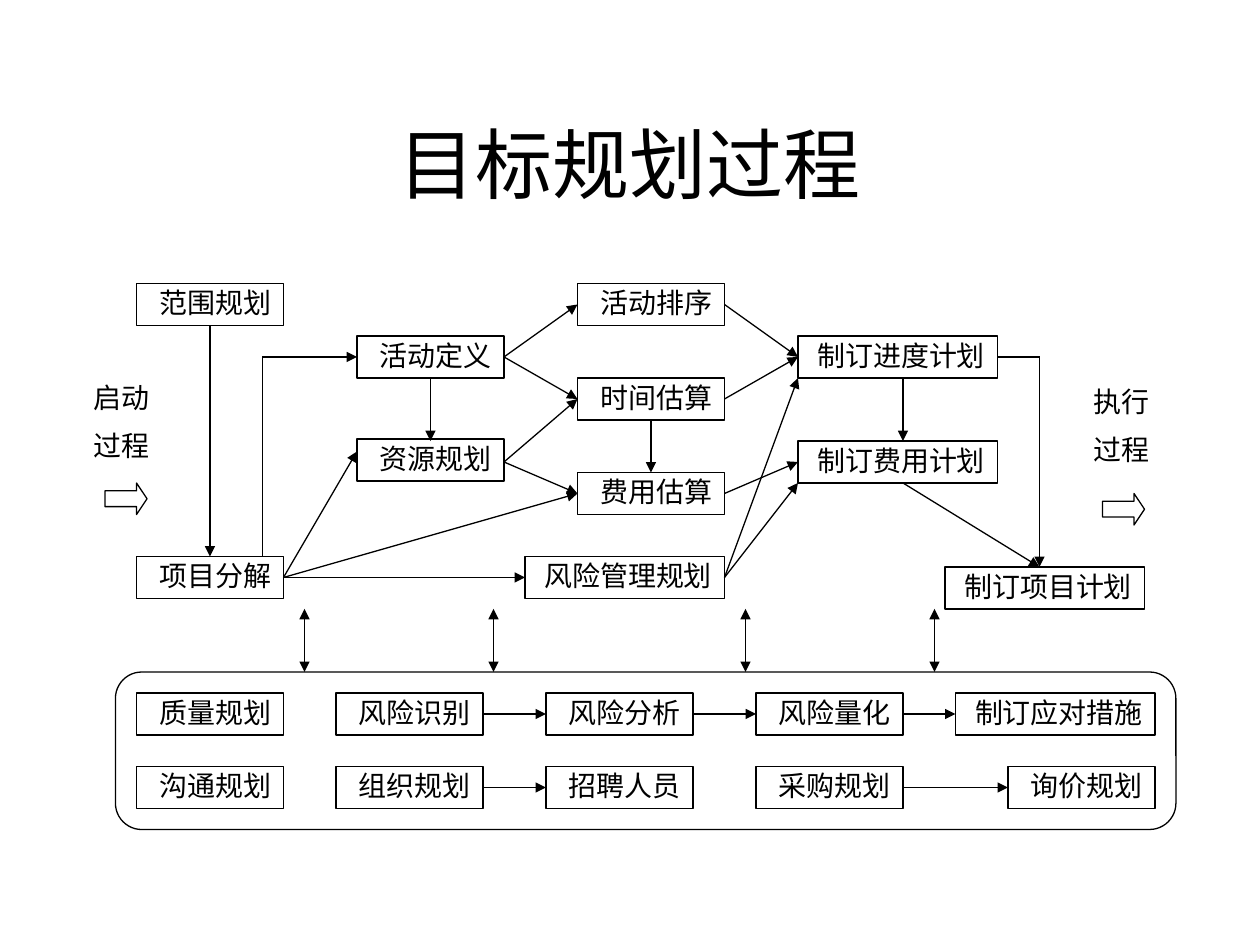
from lxml import etree
from pptx import Presentation
from pptx.dml.color import RGBColor
from pptx.enum.shapes import MSO_CONNECTOR, MSO_SHAPE
from pptx.enum.text import MSO_ANCHOR, PP_ALIGN
from pptx.oxml.ns import qn
from pptx.util import Emu, Pt

PX = 7620  # EMU per px, 120 px to the inch
BLACK = RGBColor(0, 0, 0)
FONT = "Times New Roman"
BOX_H = 40
SHORT, LONG = 140, 190

# text, left, top, width
BOXES = [
    ("范围规划", 130, 270, SHORT),
    ("项目分解", 130, 530, SHORT),
    ("活动定义", 340, 320, SHORT),
    ("资源规划", 340, 418, SHORT),
    ("活动排序", 550, 270, SHORT),
    ("时间估算", 550, 360, SHORT),
    ("费用估算", 550, 450, SHORT),
    ("风险管理规划", 500, 530, LONG),
    ("制订进度计划", 760, 320, LONG),
    ("制订费用计划", 760, 420, LONG),
    ("制订项目计划", 900, 540, LONG),
    ("质量规划", 130, 660, SHORT),
    ("风险识别", 320, 660, SHORT),
    ("风险分析", 520, 660, SHORT),
    ("风险量化", 720, 660, SHORT),
    ("制订应对措施", 910, 660, LONG),
    ("沟通规划", 130, 730, SHORT),
    ("组织规划", 320, 730, SHORT),
    ("招聘人员", 520, 730, SHORT),
    ("采购规划", 720, 730, SHORT),
    ("询价规划", 960, 730, SHORT),
]

# start point: end points
ARROWS = {
    (200, 310): [(200, 530)],
    (250, 340): [(340, 340)],
    (270, 550): [(340, 430), (550, 470), (500, 550)],
    (480, 340): [(550, 290), (550, 380)],
    (480, 440): [(550, 380), (550, 470)],
    (410, 360): [(410, 420)],
    (620, 400): [(620, 450)],
    (690, 290): [(760, 340)],
    (690, 380): [(760, 340)],
    (690, 470): [(760, 440)],
    (690, 550): [(760, 460), (760, 360)],
    (860, 360): [(860, 420)],
    (860, 460): [(990, 540)],
    (990, 340): [(990, 540)],
    (460, 680): [(520, 680)],
    (660, 680): [(720, 680)],
    (860, 680): [(910, 680)],
    (460, 750): [(520, 750)],
    (860, 750): [(960, 750)],
}


class Diagram:
    def __init__(self, s):
        self.s = s

    def set_text(self, tf, lines, size, align, spacing, gap=0):
        tf.word_wrap = True
        for i, line in enumerate(lines):
            p = tf.paragraphs[0] if i == 0 else tf.add_paragraph()
            p.text = line
            p.alignment = align
            p.line_spacing = spacing
            if i:
                p.space_before = Pt(gap)
            p.font.size = Pt(size)
            p.font.name = FONT
            p.font.color.rgb = BLACK

    def text(self, lines, x, y, w, h, size=16, align=PP_ALIGN.LEFT,
             anchor=MSO_ANCHOR.TOP, spacing=0.9):
        tf = self.s.shapes.add_textbox(*(Emu(v * PX) for v in (x, y, w, h))).text_frame
        tf.vertical_anchor = anchor
        self.set_text(tf, lines, size, align, spacing, gap=10)

    def outline(self, kind, x, y, w, h, adjustments=()):
        """Add an unfilled shape with a thin black line."""
        sp = self.s.shapes.add_shape(kind, *(Emu(v * PX) for v in (x, y, w, h)))
        sp.shadow.inherit = False
        sp.fill.background()
        sp.line.color.rgb = BLACK
        sp.line.width = Pt(0.75)
        for i, value in enumerate(adjustments):
            sp.adjustments[i] = value
        return sp

    def box(self, text, x, y, w):
        tf = self.outline(MSO_SHAPE.RECTANGLE, x, y, w, BOX_H).text_frame
        tf.vertical_anchor = MSO_ANCHOR.TOP
        self.set_text(tf, [text], 16, PP_ALIGN.RIGHT, 0.9)

    def line(self, start, end, heads=("tailEnd",)):
        """Join two points; heads names the ends that carry a triangle."""
        c = self.s.shapes.add_connector(
            MSO_CONNECTOR.STRAIGHT, *(Emu(v * PX) for v in start + end))
        c.line.color.rgb = BLACK
        c.line.width = Pt(0.75)
        ln = c.get_or_add_ln()
        for head in heads:
            etree.SubElement(ln, qn("a:" + head), type="triangle")
        etree.SubElement(c.element.spPr, qn("a:effectLst"))


def main():
    prs = Presentation()
    prs.slide_width, prs.slide_height = Emu(1200 * PX), Emu(900 * PX)
    d = Diagram(prs.slides.add_slide(prs.slide_layouts[6]))

    d.text(["目标规划过程"], 90, 80, 1020, 150, 44, PP_ALIGN.CENTER,
           MSO_ANCHOR.MIDDLE, spacing=1.0)

    for box in BOXES:
        d.box(*box)
    d.outline(MSO_SHAPE.ROUNDED_RECTANGLE, 110, 640, 1010, 150, [0.167])

    for start, ends in ARROWS.items():
        for end in ends:
            d.line(start, end)
    d.line((250, 340), (250, 530), heads=())
    d.line((950, 340), (990, 340), heads=())
    for x in (290, 470, 710, 890):
        d.line((x, 580), (x, 640), heads=("headEnd", "tailEnd"))

    for name, x, y, arrow_x, arrow_y in (("启动", 77, 360, 100, 460),
                                         ("执行", 1030, 364, 1050, 470)):
        d.text([name, "过程"], x, y, 83, 86)
        d.outline(MSO_SHAPE.RIGHT_ARROW, arrow_x, arrow_y, 40, 30, [0.5, 0.333])

    prs.save("out.pptx")


if __name__ == "__main__":
    main()
